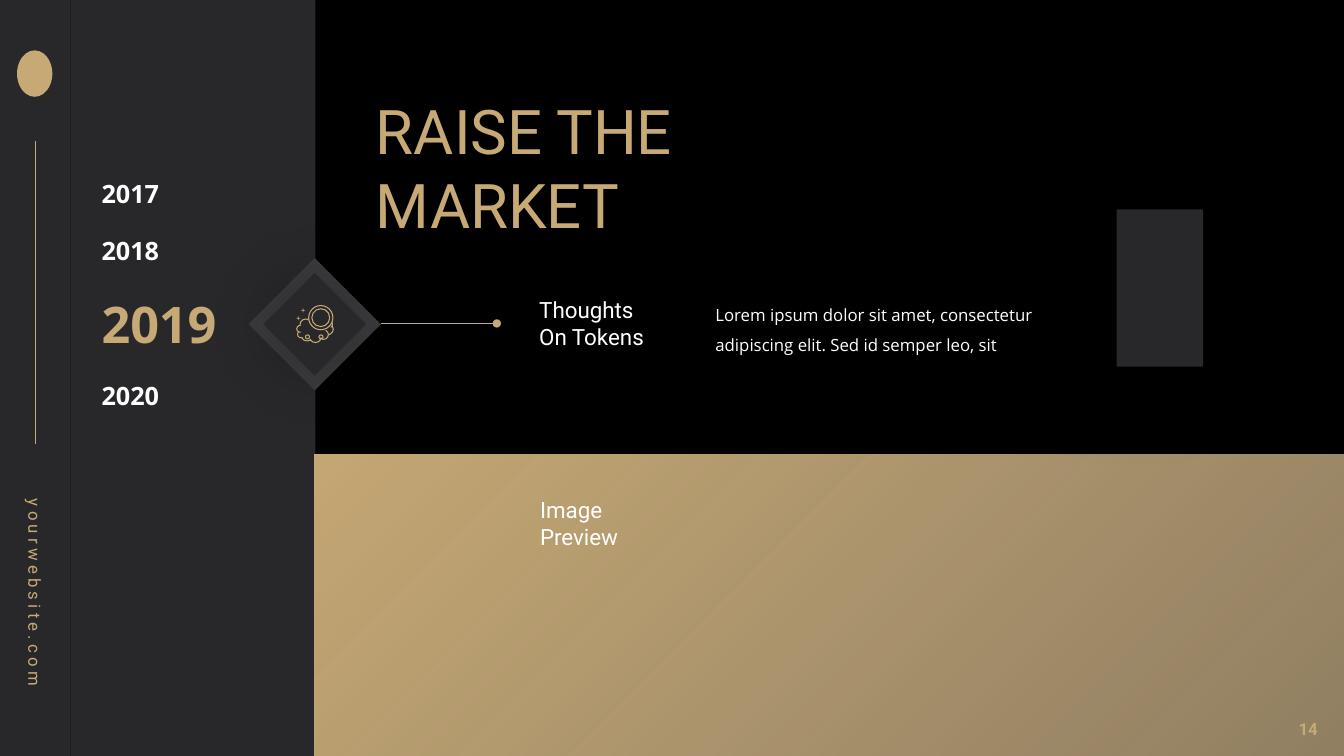
import lxml.etree
import pptx
import pptx.dml.color
import pptx.enum.shapes
import pptx.enum.text
import pptx.oxml
import pptx.oxml.ns
import pptx.util

Cm = pptx.util.Cm
Pt = pptx.util.Pt
RGBColor = pptx.dml.color.RGBColor
MSO_SHAPE = pptx.enum.shapes.MSO_SHAPE
MSO_ANCHOR = pptx.enum.text.MSO_ANCHOR
PP_ALIGN = pptx.enum.text.PP_ALIGN
qn = pptx.oxml.ns.qn

BLACK = RGBColor(0x00, 0x00, 0x00)
WHITE = RGBColor(0xFF, 0xFF, 0xFF)
GOLD = RGBColor(0xC7, 0xA9, 0x76)
CHARCOAL = RGBColor(0x28, 0x28, 0x2A)
GREY = RGBColor(0x3B, 0x3B, 0x3D)
NAMESPACE = 'xmlns:a="http://schemas.openxmlformats.org/drawingml/2006/main"'

presentation = pptx.Presentation()
presentation.slide_width = Cm(33.87)
presentation.slide_height = Cm(19.05)
slide = presentation.slides.add_slide(presentation.slide_layouts[5])
slide.background.fill.solid()
slide.background.fill.fore_color.rgb = BLACK


def add_shape(kind, left, top, width, height, fill=None, outline=None):
    shape = slide.shapes.add_shape(kind, Cm(left), Cm(top), Cm(width), Cm(height))
    shape.shadow.inherit = False
    if fill is None:
        shape.fill.background()
    else:
        shape.fill.solid()
        shape.fill.fore_color.rgb = fill
    if outline is None:
        shape.line.fill.background()
    else:
        shape.line.color.rgb = outline
        shape.line.width = Pt(0.75)
    return shape


def set_text(shape, place, text, font, size, color, bold=False, wrap=True):
    shape.left, shape.top, shape.width, shape.height = [Cm(value) for value in place]
    frame = shape.text_frame
    frame.text = text
    frame.word_wrap = wrap
    frame.vertical_anchor = MSO_ANCHOR.TOP
    for paragraph in frame.paragraphs:
        paragraph.alignment = PP_ALIGN.LEFT
        for run in paragraph.runs:
            run.font.name = font
            run.font.size = Pt(size)
            run.font.bold = bold
            run.font.color.rgb = color
    return shape


# Title
set_text(slide.shapes.title, (9.22, 2.21, 9.04, 4.01), "RAISE THE\nMARKET", "Roboto", 44, GOLD)

# Sidebar with emblem
add_shape(MSO_SHAPE.RECTANGLE, 0, 0, 1.78, 19.05, CHARCOAL)
add_shape(MSO_SHAPE.RECTANGLE, 1.78, 0, 6.17, 19.05, CHARCOAL)
add_shape(MSO_SHAPE.OVAL, 0.43, 1.27, 0.89, 1.17, GOLD)

# Gold panel
panel = add_shape(MSO_SHAPE.RECTANGLE, 7.92, 11.46, 25.95, 7.59)
gradient = lxml.etree.fromstring(
    f'<a:gradFill {NAMESPACE} rotWithShape="1"><a:gsLst>'
    f'<a:gs pos="0"><a:srgbClr val="{GOLD}"/></a:gs>'
    '<a:gs pos="100000"><a:srgbClr val="D0B78D"><a:alpha val="70000"/></a:srgbClr></a:gs>'
    '</a:gsLst><a:path path="circle"><a:fillToRect r="100000" b="100000"/></a:path></a:gradFill>',
    pptx.oxml.oxml_parser,
)
properties = panel.element.spPr
properties.replace(properties.find(qn("a:noFill")), gradient)

# Diamond and image block with soft shadows
middle_x, middle_y = 7.93, 8.17
for size, fill in ((2.36, GREY), (1.83, CHARCOAL)):
    diamond = add_shape(
        MSO_SHAPE.RECTANGLE, middle_x - size / 2, middle_y - size / 2, size, size, fill
    )
    diamond.rotation = 45
image_block = add_shape(MSO_SHAPE.RECTANGLE, 28.14, 5.28, 2.18, 3.96, CHARCOAL)
for shape, opacity, blur, distance, angle in (
    (diamond, 27, 44, 0, 0),
    (image_block, 25, 60, 24, 135),
):
    effects = shape.element.spPr.find(qn("a:effectLst"))
    shadow = lxml.etree.SubElement(
        effects, qn("a:outerShdw"), blurRad=str(Pt(blur)), dist=str(Pt(distance)),
        dir=str(angle * 60000), algn="ctr", rotWithShape="0",
    )
    shadow_color = lxml.etree.SubElement(shadow, qn("a:srgbClr"), val=str(BLACK))
    lxml.etree.SubElement(shadow_color, qn("a:alpha"), val=str(opacity * 1000))

# Cloud and coin icon
add_shape(MSO_SHAPE.CLOUD, 7.48, 7.98, 0.92, 0.65, CHARCOAL, GOLD)
add_shape(MSO_SHAPE.OVAL, 7.78, 7.7, 0.61, 0.61, CHARCOAL, GOLD)
add_shape(MSO_SHAPE.OVAL, 7.86, 7.78, 0.45, 0.45, None, GOLD)
for node_x in (7.75, 8.09):
    add_shape(MSO_SHAPE.OVAL, node_x - 0.05, 8.44, 0.1, 0.1, None, GOLD)
for sparkle_left, sparkle_top in ((7.58, 7.76), (7.46, 7.96)):
    add_shape(MSO_SHAPE.STAR_4_POINT, sparkle_left, sparkle_top, 0.12, 0.12, GOLD)

# Sidebar rule and pointer
for start_x, start_y, end_x, end_y in ((0.89, 3.56, 0.89, 11.2), (9.6, 8.15, 12.52, 8.15)):
    line = slide.shapes.add_connector(
        pptx.enum.shapes.MSO_CONNECTOR.STRAIGHT, Cm(start_x), Cm(start_y), Cm(end_x), Cm(end_y)
    )
    line.line.color.rgb = GOLD
    line.line.width = Pt(1)
    lxml.etree.SubElement(line.element.spPr, qn("a:effectLst"))
lxml.etree.SubElement(line.line._get_or_add_ln(), qn("a:tailEnd"), type="oval")

# Years
year_top = 4.37
for year in ("2017", "2018", "2019", "2020"):
    current = year == "2019"
    width, height, size = (3.43, 1.8, 36) if current else (1.98, 1.02, 18)
    set_text(
        slide.shapes.add_textbox(0, 0, 0, 0), (2.31, year_top, width, height), year,
        "Open Sans", size, GOLD if current else WHITE, bold=True, wrap=False,
    )
    year_top += height + 0.42

# Captions
for place, caption in (
    ((13.34, 7.34, 4.45, 1.63), "Thoughts\nOn Tokens"),
    ((13.36, 12.37, 4.45, 1.63), "Image\nPreview"),
):
    set_text(slide.shapes.add_textbox(0, 0, 0, 0), place, caption, "Roboto", 16, WHITE)

# Body text
body = set_text(
    slide.shapes.add_textbox(0, 0, 0, 0), (17.78, 7.29, 8.53, 1.7),
    "Lorem ipsum dolor sit amet, consectetur adipiscing elit. Sed id semper leo, sit",
    "Open Sans", 12, WHITE,
)
body.text_frame.paragraphs[0].line_spacing = 1.5

# Web address and slide number
website = set_text(
    slide.shapes.add_textbox(0, 0, 0, 0), (-2.11, 14.94, 5.99, 0.76),
    "yourwebsite.com", "Roboto", 12, GOLD,
)
website.rotation = 90
website.text_frame.paragraphs[0].runs[0].font._element.set("spc", "300")
number = set_text(
    slide.shapes.add_textbox(0, 0, 0, 0), (32.08, 17.86, 1.78, 1.02),
    "14", "Roboto", 12, GOLD, bold=True,
)
number.text_frame.vertical_anchor = MSO_ANCHOR.MIDDLE
number.text_frame.paragraphs[0].alignment = PP_ALIGN.CENTER

presentation.save("out.pptx")
